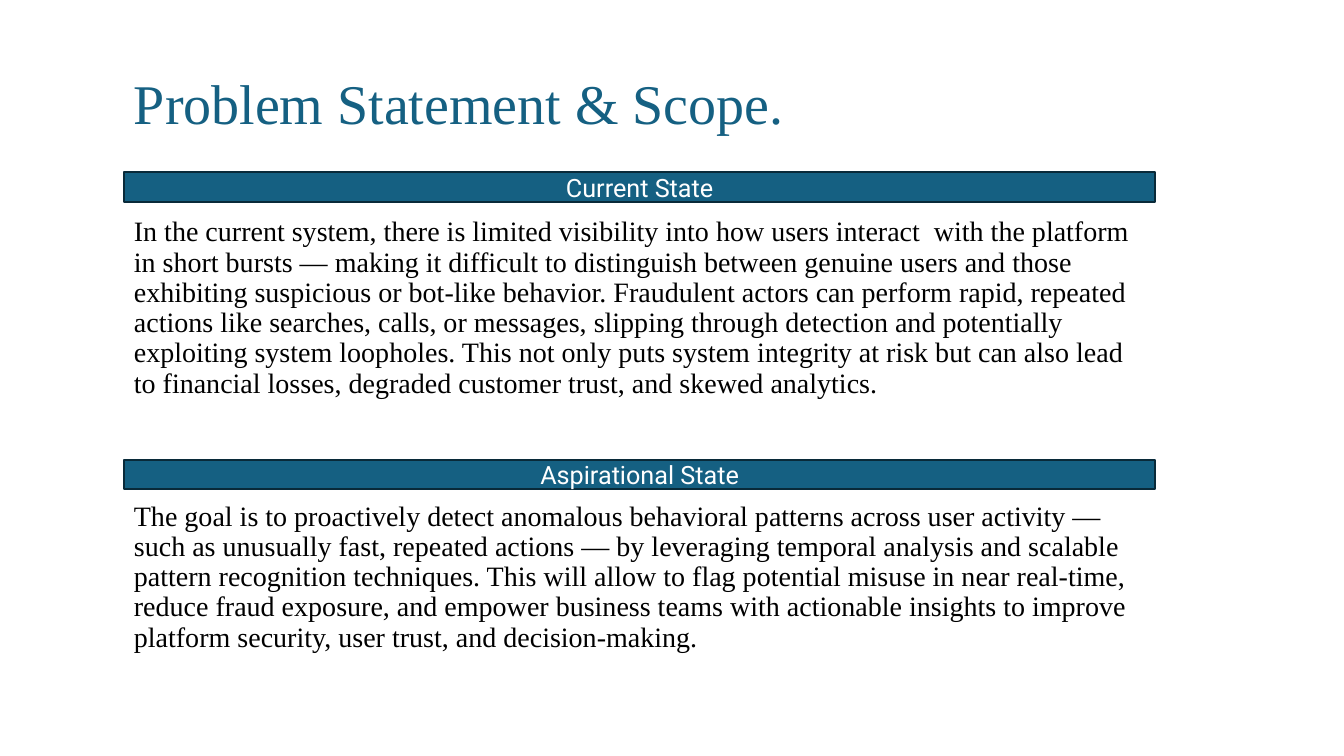
import pptx
import pptx.dml.color
import pptx.enum.shapes
import pptx.enum.text
import pptx.util

Inches = pptx.util.Inches
Anchor = pptx.enum.text.MSO_ANCHOR
Align = pptx.enum.text.PP_ALIGN

BLUE, NAVY, WHITE, BLACK = "156082", "092A39", "FFFFFF", "000000"
LEFT, WIDTH = 1.23, 10.23
BAR_HEIGHT = 0.29

TITLE_FORMAT = {"name": "Times New Roman", "size": pptx.util.Pt(40)}
BODY_FORMAT = {"name": "Times New Roman", "size": pptx.util.Pt(20)}
BAR_FORMAT = {"name": "Roboto", "size": pptx.util.Pt(18)}

SECTIONS = [
    ("Current State", 1.71, 2.11, 2.1,
     "In the current system, there is limited visibility into how users interact  with the platform "
     "in short bursts — making it difficult to distinguish between genuine users and those "
     "exhibiting suspicious or bot-like behavior. Fraudulent actors can perform rapid, repeated "
     "actions like searches, calls, or messages, slipping through detection and potentially "
     "exploiting system loopholes. This not only puts system integrity at risk but can also lead "
     "to financial losses, degraded customer trust, and skewed analytics."),
    ("Aspirational State", 4.56, 4.93, 1.83,
     "The goal is to proactively detect anomalous behavioral patterns across user activity — "
     "such as unusually fast, repeated actions — by leveraging temporal analysis and scalable "
     "pattern recognition techniques. This will allow to flag potential misuse in near real-time, "
     "reduce fraud exposure, and empower business teams with actionable insights to improve "
     "platform security, user trust, and decision-making."),
]


def color(value):
    """Turn a hex string into a colour."""
    return pptx.dml.color.RGBColor.from_string(value)


def write(shape, text, font_format, ink, anchor, alignment=Align.LEFT, spacing=0.9):
    """Fill a shape with one formatted paragraph."""
    frame = shape.text_frame
    frame.word_wrap = True
    frame.vertical_anchor = anchor
    para = frame.paragraphs[0]
    para.alignment = alignment
    para.line_spacing = spacing
    span = para.add_run()
    span.text = text
    for name, value in font_format.items():
        setattr(span.font, name, value)
    span.font.color.rgb = color(ink)


def add_title(page, left, top, width, height):
    """Place the slide title."""
    box = page.shapes.add_textbox(*map(Inches, (left, top, width, height)))
    write(box, "Problem Statement & Scope.", TITLE_FORMAT, BLUE, Anchor.BOTTOM)


def add_section(page, left, width, heading, bar_top, body_top, body_height, body):
    """Place a heading bar and the paragraph below it."""
    box = page.shapes.add_textbox(*map(Inches, (left, body_top, width, body_height)))
    write(box, body, BODY_FORMAT, BLACK, Anchor.TOP)
    bar = page.shapes.add_shape(
        pptx.enum.shapes.MSO_SHAPE.RECTANGLE,
        *map(Inches, (left, bar_top, width, BAR_HEIGHT)))
    bar.shadow.inherit = False
    bar.fill.solid()
    bar.fill.fore_color.rgb = color(BLUE)
    bar.line.color.rgb = color(NAVY)
    bar.line.width = pptx.util.Pt(1.5)
    write(bar, heading, BAR_FORMAT, WHITE, Anchor.MIDDLE, Align.CENTER, 1.0)


def main():
    """Build and save the deck."""
    deck = pptx.Presentation()
    deck.slide_width, deck.slide_height = Inches(13.33), Inches(7.5)
    page = deck.slides.add_slide(deck.slide_layouts[6])
    add_title(page, LEFT, 0.88, 10.57, 0.52)
    for section in SECTIONS:
        add_section(page, LEFT, WIDTH, *section)
    deck.save("out.pptx")


if __name__ == "__main__":
    main()
